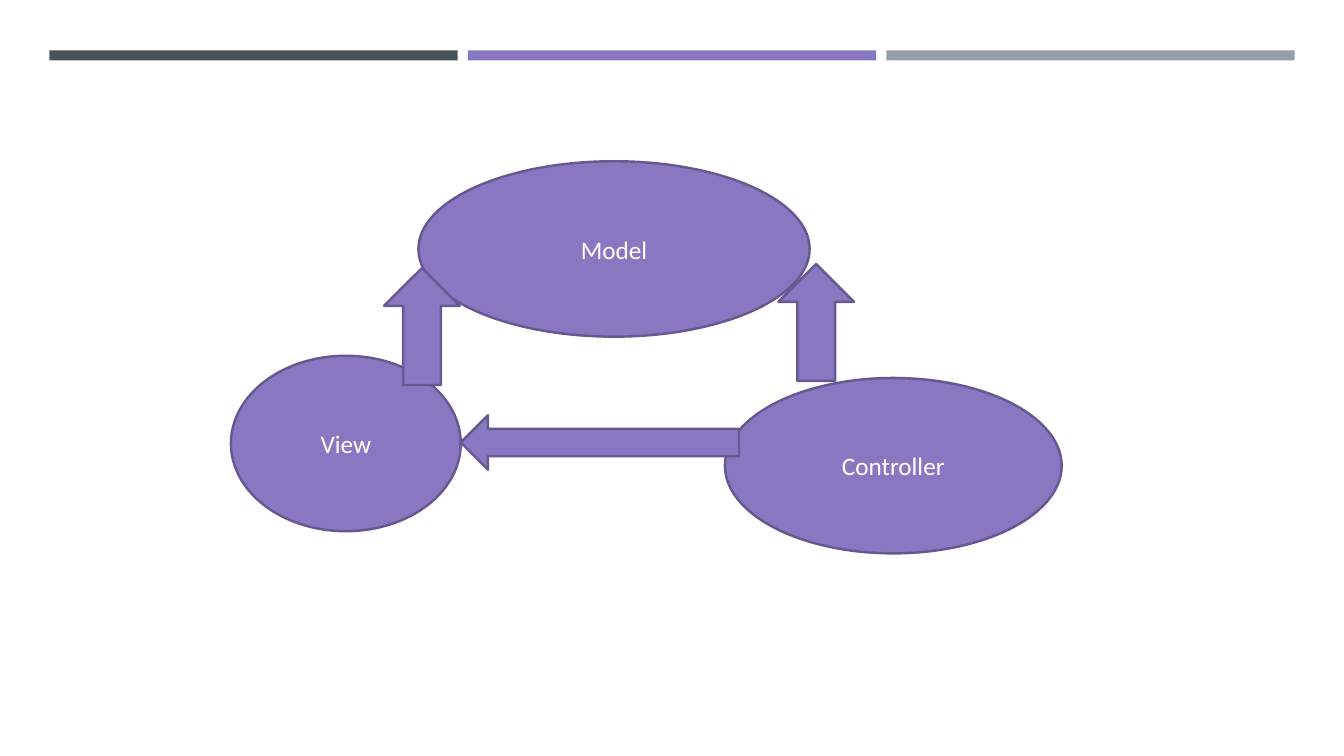
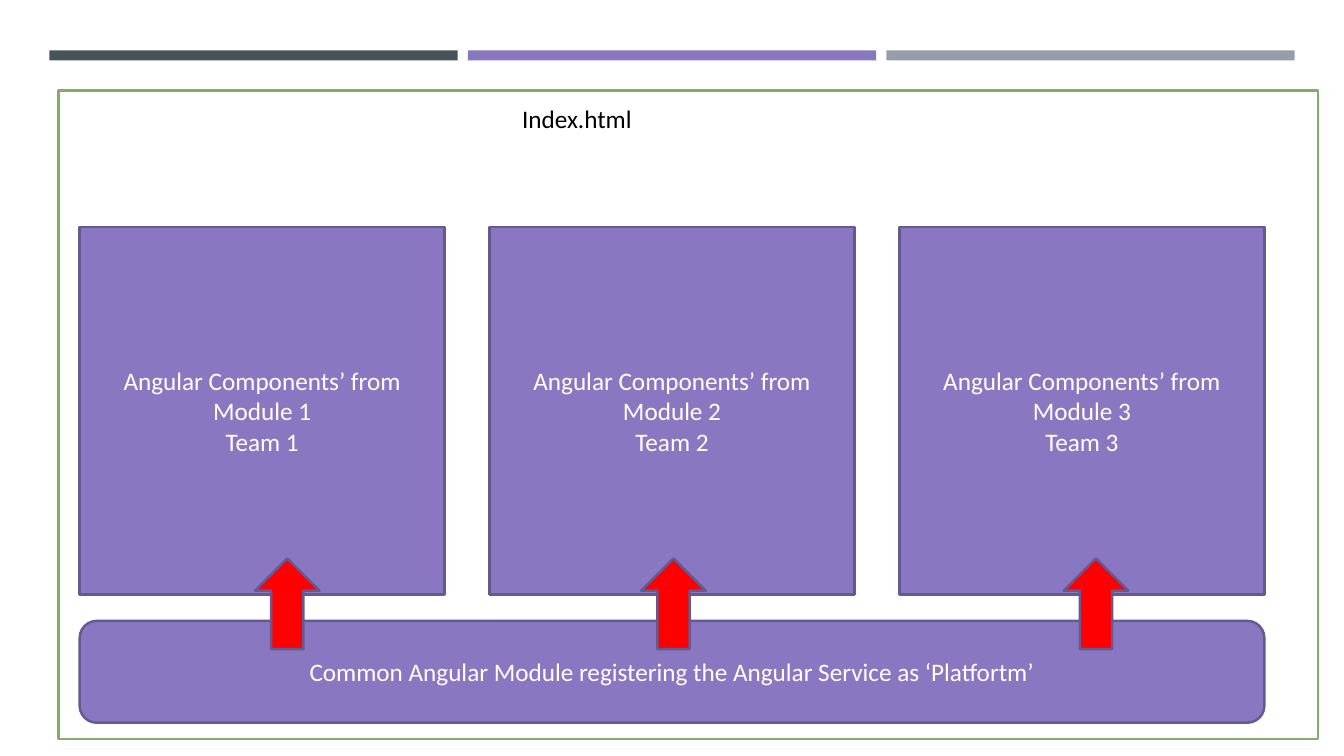
from pptx import Presentation
from pptx.dml.color import RGBColor
from pptx.enum.shapes import MSO_SHAPE
from pptx.enum.text import MSO_ANCHOR, PP_ALIGN
from pptx.util import Inches, Pt

RECT = MSO_SHAPE.RECTANGLE
ROUNDED = MSO_SHAPE.ROUNDED_RECTANGLE
OVAL = MSO_SHAPE.OVAL
UP_ARROW = MSO_SHAPE.UP_ARROW
LEFT_ARROW = MSO_SHAPE.LEFT_ARROW
CENTER, LEFT = PP_ALIGN.CENTER, PP_ALIGN.LEFT
MIDDLE, TOP = MSO_ANCHOR.MIDDLE, MSO_ANCHOR.TOP

SLATE = RGBColor(0x46, 0x53, 0x59)
PURPLE = RGBColor(0x8A, 0x77, 0xC2)
GRAY = RGBColor(0x96, 0x9F, 0xA7)
OUTLINE = RGBColor(0x66, 0x58, 0x90)
GREEN = RGBColor(0x81, 0xAF, 0x6B)
RED = RGBColor(0xFF, 0x00, 0x00)
WHITE = RGBColor(0xFF, 0xFF, 0xFF)
BLACK = RGBColor(0x00, 0x00, 0x00)
FONT = "Calibri"


def write(sp, text, size=18, color=WHITE, align=CENTER, anchor=MIDDLE):
    """Fill a shape with text, one paragraph per line."""
    tf = sp.text_frame
    tf.word_wrap = True
    tf.vertical_anchor = anchor
    for i, line in enumerate(text.split("\n")):
        p = tf.add_paragraph() if i else tf.paragraphs[0]
        p.alignment = align
        r = p.add_run()
        r.text = line
        r.font.name = FONT
        r.font.size = Pt(size)
        r.font.color.rgb = color


def add_block(s, kind, x, y, w, h, text="", fill=PURPLE, line=OUTLINE):
    sp = s.shapes.add_shape(kind, Inches(x), Inches(y), Inches(w), Inches(h))
    sp.shadow.inherit = False
    sp.fill.solid()
    sp.fill.fore_color.rgb = fill
    if line is None:
        sp.line.fill.background()
    else:
        sp.line.color.rgb = line
        sp.line.width = Pt(1.75)
    if text:
        write(sp, text)
    return sp


def add_bands(s, x, y, w, gap=0.1):
    """Three equal colour bands across the top."""
    band_w = (w - 2 * gap) / 3
    for i, color in enumerate((SLATE, PURPLE, GRAY)):
        add_block(s, RECT, x + i * (band_w + gap), y, band_w, 0.1,
                  fill=color, line=None)


def add_mvc_diagram(s, x, y):
    # Ovals
    add_block(s, OVAL, x + 1.86, y, 3.88, 1.74, "Model")
    add_block(s, OVAL, x + 4.9, y + 2.15, 3.34, 1.74, "Controller")
    add_block(s, OVAL, x, y + 1.93, 2.28, 1.74, "View")
    # Arrows
    add_block(s, UP_ARROW, x + 5.43, y + 1.02, 0.75, 1.16)
    add_block(s, LEFT_ARROW, x + 2.28, y + 2.52, 2.76, 0.54)
    add_block(s, UP_ARROW, x + 1.52, y + 1.06, 0.75, 1.16)


def add_page_diagram(s, x, y, w, h):
    # Page frame and its name
    add_block(s, RECT, x, y, w, h, fill=WHITE, line=GREEN)
    label = s.shapes.add_textbox(Inches(x + 4.5), Inches(y + 0.08),
                                 Inches(3.15), Inches(0.4))
    write(label, "Index.html", color=BLACK, align=LEFT, anchor=TOP)

    # Team modules, spread evenly over the common module
    inner_x, inner_w, module_w = x + 0.21, 11.75, 3.62
    step = (inner_w - module_w) / 2
    for i in range(3):
        add_block(s, RECT, inner_x + i * step, y + 1.35, module_w, 3.65,
                  f"Angular Components’ from Module {i + 1}\nTeam {i + 1}")
    add_block(s, ROUNDED, inner_x, y + 5.26, inner_w, 1.01,
              "Common Angular Module registering the Angular Service "
              "as ‘Platfortm’")

    # Arrows from the common module up to each team
    for arrow_x in (1.95, 5.78, 9.97):
        add_block(s, UP_ARROW, x + arrow_x, y + 4.64, 0.64, 0.9, fill=RED)


def add_slide(prs):
    s = prs.slides.add_slide(prs.slide_layouts[6])
    add_bands(s, 0.49, 0.5, 12.35)
    return s


def main():
    prs = Presentation()
    prs.slide_width, prs.slide_height = Inches(13.33), Inches(7.5)
    add_mvc_diagram(add_slide(prs), 2.29, 1.6)
    add_page_diagram(add_slide(prs), 0.58, 0.9, 12.49, 6.43)
    prs.save("out.pptx")


if __name__ == "__main__":
    main()
